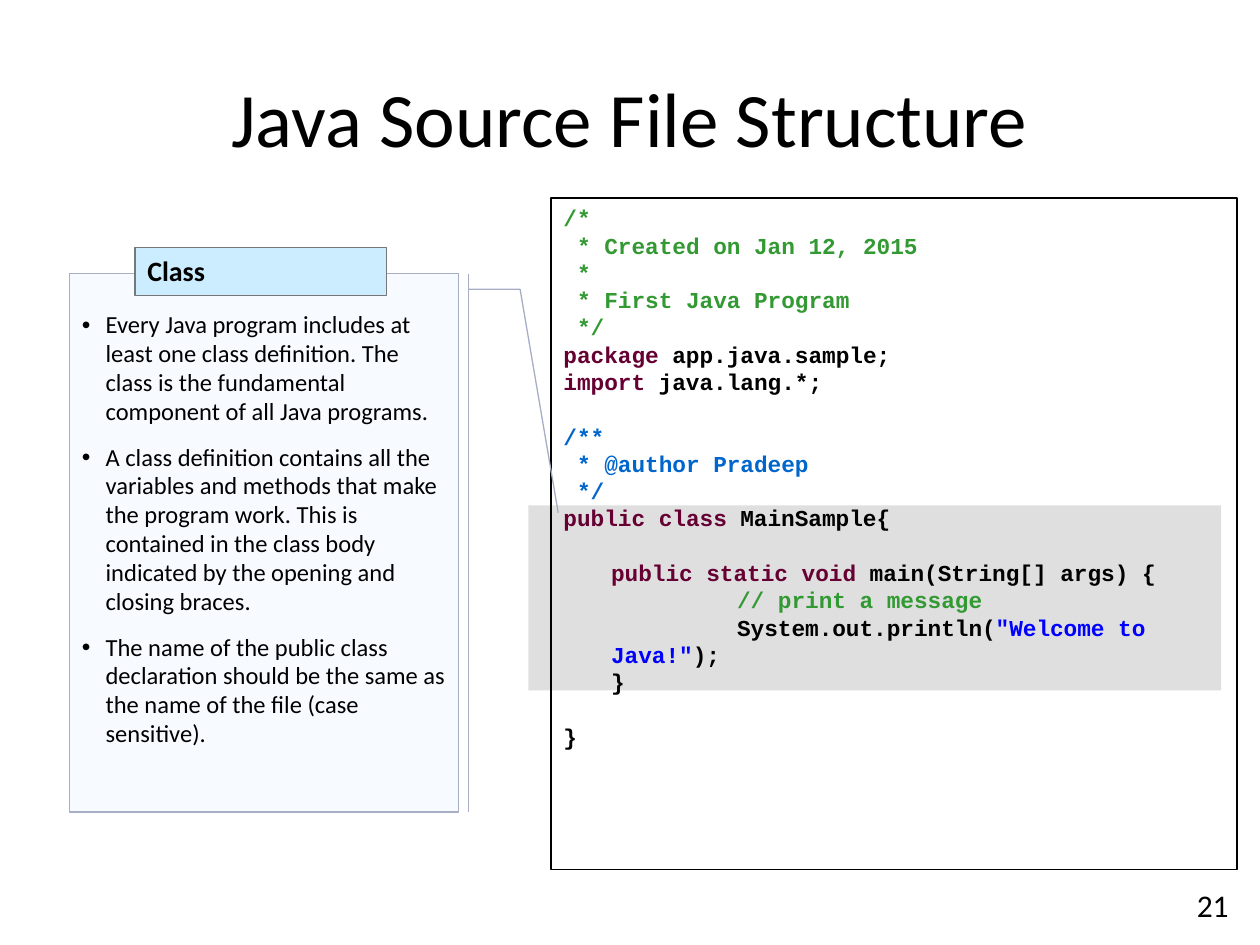
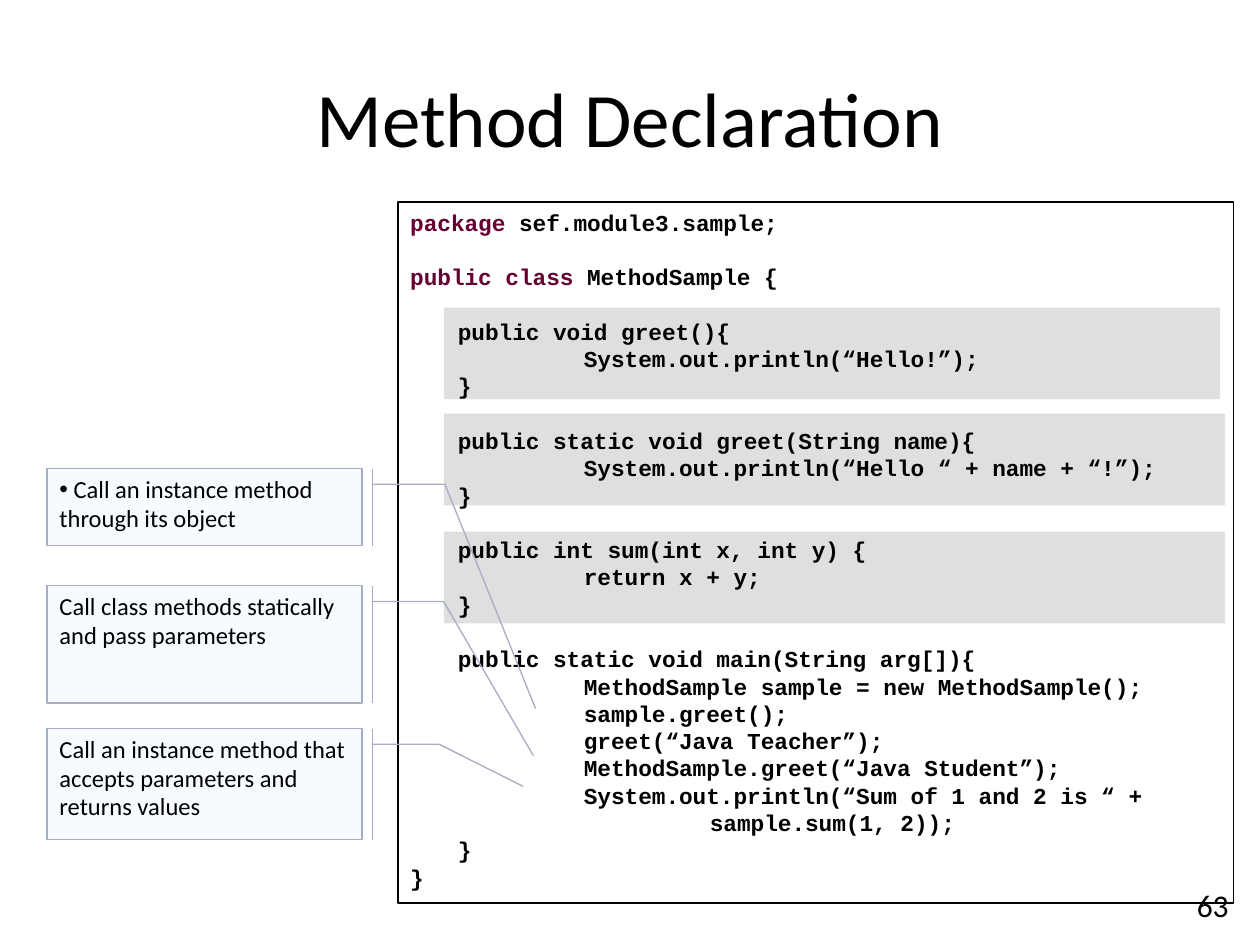
import pptx
import pptx.dml.color
import pptx.enum.shapes
import pptx.enum.text
import pptx.oxml.ns
import pptx.util
from lxml import etree

Cm, Pt = pptx.util.Cm, pptx.util.Pt
RGB = pptx.dml.color.RGBColor
SHAPE = pptx.enum.shapes.MSO_SHAPE
ALIGN = pptx.enum.text.PP_ALIGN
ANCHOR = pptx.enum.text.MSO_ANCHOR
qn = pptx.oxml.ns.qn

# Colours and fonts
BLACK = RGB(0x00, 0x00, 0x00)
COMMENT = RGB(0x33, 0x99, 0x33)
KEYWORD = RGB(0x66, 0x00, 0x33)
JAVADOC = RGB(0x00, 0x66, 0xCC)
STRING = RGB(0x00, 0x00, 0xFF)
HIGHLIGHT = RGB(0xC0, 0xC0, 0xC0)
NOTE_FILL = RGB(0xF7, 0xFB, 0xFF)
NOTE_LINE = RGB(0xA6, 0xAD, 0xC4)
LABEL_FILL = RGB(0xCC, 0xEC, 0xFF)
LABEL_LINE = RGB(0x77, 0x77, 0x77)
BODY_FONT, CODE_FONT = "Calibri", "Courier New"
LINE_HEIGHT = 1.2
TAB_WIDTH = Cm(2.54)

# Shared places, as left, top, width, height in centimetres
TITLE_BOX = (1.27, 0.76, 22.86, 3.18)
NUMBER_BOX = (20.32, 17.98, 4.7, 0.76)


def add_box(slide, kind, box, fill=None, line=None, weight=0.75):
    shape = slide.shapes.add_shape(kind, *[Cm(v) for v in box])
    shape.shadow.inherit = False
    if fill is None:
        shape.fill.background()
    else:
        shape.fill.solid()
        shape.fill.fore_color.rgb = fill
    if line is None:
        shape.line.fill.background()
    else:
        shape.line.color.rgb = line
        shape.line.width = Pt(weight)
    return shape


def write(shape, lines, size, font=BODY_FONT, bold=False, align=ALIGN.LEFT,
          anchor=ANCHOR.TOP, hang=0, bullet=False, gap=0, spacing=None):
    """Write lines of (colour, text) runs; an empty line opens a one-line gap."""
    frame = shape.text_frame
    frame.word_wrap = True
    frame.vertical_anchor = anchor
    paragraph, space = None, 0
    for line in lines:
        if not line:
            space = size * LINE_HEIGHT
            continue
        if paragraph is None:
            paragraph = frame.paragraphs[0]
        else:
            paragraph = frame.add_paragraph()
            paragraph.space_before = Pt(space + gap)
        space = 0
        paragraph.alignment = align
        paragraph.line_spacing = spacing or Pt(size * LINE_HEIGHT)
        properties = paragraph._p.get_or_add_pPr()
        properties.set("marL", str(Cm(hang)))
        properties.set("indent", str(-Cm(hang)))
        properties.set("defTabSz", str(TAB_WIDTH))
        if bullet:
            etree.SubElement(properties, qn("a:buFont")).set("typeface", "Arial")
            etree.SubElement(properties, qn("a:buChar")).set("char", "•")
        for colour, text in line:
            run = paragraph.add_run()
            run.text = text
            run.font.name = font
            run.font.size = Pt(size)
            run.font.bold = bold
            run.font.color.rgb = colour


# Code listings
first_program = [
    [(COMMENT, "/*")],
    [(COMMENT, " * Created on Jan 12, 2015")],
    [(COMMENT, " *")],
    [(COMMENT, " * First Java Program")],
    [(COMMENT, " */")],
    [(KEYWORD, "package"), (BLACK, " app.java.sample;")],
    [(KEYWORD, "import"), (BLACK, " java.lang.*;")],
    [],
    [(JAVADOC, "/**")],
    [(JAVADOC, " * @author Pradeep")],
    [(JAVADOC, " */")],
    [(KEYWORD, "public class"), (BLACK, " MainSample{")],
    [],
    [(KEYWORD, "\tpublic static void"), (BLACK, " main(String[] args) {")],
    [(COMMENT, "\t\t// print a message")],
    [(BLACK, "\t\tSystem.out.println("), (STRING, "\"Welcome to Java!\""), (BLACK, ");")],
    [(BLACK, "\t}")],
    [],
    [(BLACK, "}")],
]
method_body = """
\tpublic void greet(){
\t\tSystem.out.println(“Hello!”);
\t}

\tpublic static void greet(String name){
\t\tSystem.out.println(“Hello “ + name + “!”);
\t}

\tpublic int sum(int x, int y) {
\t\treturn x + y;
\t}

\tpublic static void main(String arg[]){
\t\tMethodSample sample = new MethodSample();
\t\tsample.greet();
\t\tgreet(“Java Teacher”);
\t\tMethodSample.greet(“Java Student”);
\t\tSystem.out.println(“Sum of 1 and 2 is “ +
\t\t\tsample.sum(1, 2));
\t}
}"""
method_sample = [
    [(KEYWORD, "package "), (BLACK, "sef.module3.sample;")],
    [],
    [(KEYWORD, "public class"), (BLACK, " MethodSample {")],
] + [[(BLACK, text)] if text else [] for text in method_body.split("\n")]

# Notes: box, callout adjustments, paragraphs, hanging indent, bulleted, top margin
class_notes = [(
    (1.4, 5.52, 7.84, 10.85), (0.029, 1.027, 0.029, 1.159, 0.444, 1.257),
    ["Every Java program includes at least one class definition. The class is the "
     "fundamental component of all Java programs.",
     "A class definition contains all the variables and methods that make the program "
     "work. This is contained in the class body indicated by the opening and closing braces.",
     "The name of the public class declaration should be the same as the name of the "
     "file (case sensitive)."],
    0.48, True, 0.74,
)]
call_notes = [
    ((0.95, 9.45, 6.35, 1.55), (0.203, 1.033, 0.203, 1.263, 3.119, 1.551),
     [" Call an instance method through its object"], 0, True, 0.13),
    ((0.95, 11.81, 6.35, 2.36), (0.135, 1.033, 0.135, 1.259, 1.452, 1.544),
     ["Call class methods statically and pass parameters"], 0, False, 0.13),
    ((0.95, 14.69, 6.35, 2.24), (0.141, 1.033, 0.141, 1.245, 0.519, 1.511),
     ["Call an instance method that accepts parameters and returns values"], 0, False, 0.13),
]

# Slides: title, number, highlighted bands, code box, code, notes, label
slides = [
    ("Java Source File Structure", "21", [(10.65, 10.19, 13.97, 3.73)],
     (11.11, 3.99, 13.83, 13.54), first_program, class_notes, "Class"),
    ("Method Declaration", "63",
     [(8.95, 6.2, 15.65, 1.85), (8.95, 8.34, 15.75, 1.85), (8.95, 10.72, 15.75, 1.85)],
     (8.02, 4.08, 16.85, 14.12), method_sample, call_notes, None),
]

deck = pptx.Presentation()
deck.slide_width, deck.slide_height = Cm(25.4), Cm(19.05)
for level in deck.element.iter(qn("a:lvl1pPr")):
    level.set("defTabSz", str(TAB_WIDTH))

for title, number, bands, code_box, code, notes, label in slides:
    slide = deck.slides.add_slide(deck.slide_layouts[6])

    # Title and page number
    heading = slide.shapes.add_textbox(*[Cm(v) for v in TITLE_BOX])
    write(heading, [[(BLACK, title)]], 44, align=ALIGN.CENTER, anchor=ANCHOR.MIDDLE)
    page_number = slide.shapes.add_textbox(*[Cm(v) for v in NUMBER_BOX])
    write(page_number, [[(BLACK, number)]], 18, align=ALIGN.RIGHT, anchor=ANCHOR.BOTTOM)

    # Half-transparent bands behind the code
    for band_box in bands:
        band = add_box(slide, SHAPE.RECTANGLE, band_box, HIGHLIGHT)
        colour = band._element.spPr.find(qn("a:solidFill"))[0]
        etree.SubElement(colour, qn("a:alpha")).set("val", "50000")

    # Code listing
    listing = add_box(slide, SHAPE.RECTANGLE, code_box, line=BLACK, weight=1)
    write(listing, code, 13, font=CODE_FONT, bold=True, hang=0.96)

    # Notes with leader lines
    for box, leader, texts, hang, bullet, top in notes:
        note = add_box(slide, SHAPE.LINE_CALLOUT_2_BORDER_AND_ACCENT_BAR, box,
                       NOTE_FILL, NOTE_LINE)
        for index, value in enumerate(leader):
            note.adjustments[index] = value
        note.text_frame.margin_top = Cm(top)
        write(note, [[(BLACK, text)] for text in texts], 14,
              hang=hang, bullet=bullet, gap=9.8, spacing=0.98)

    # Label over the note
    if label:
        tag = add_box(slide, SHAPE.RECTANGLE, (2.72, 4.99, 5.08, 0.97),
                      LABEL_FILL, LABEL_LINE)
        write(tag, [[(BLACK, label)]], 16, bold=True)

deck.save("out.pptx")
